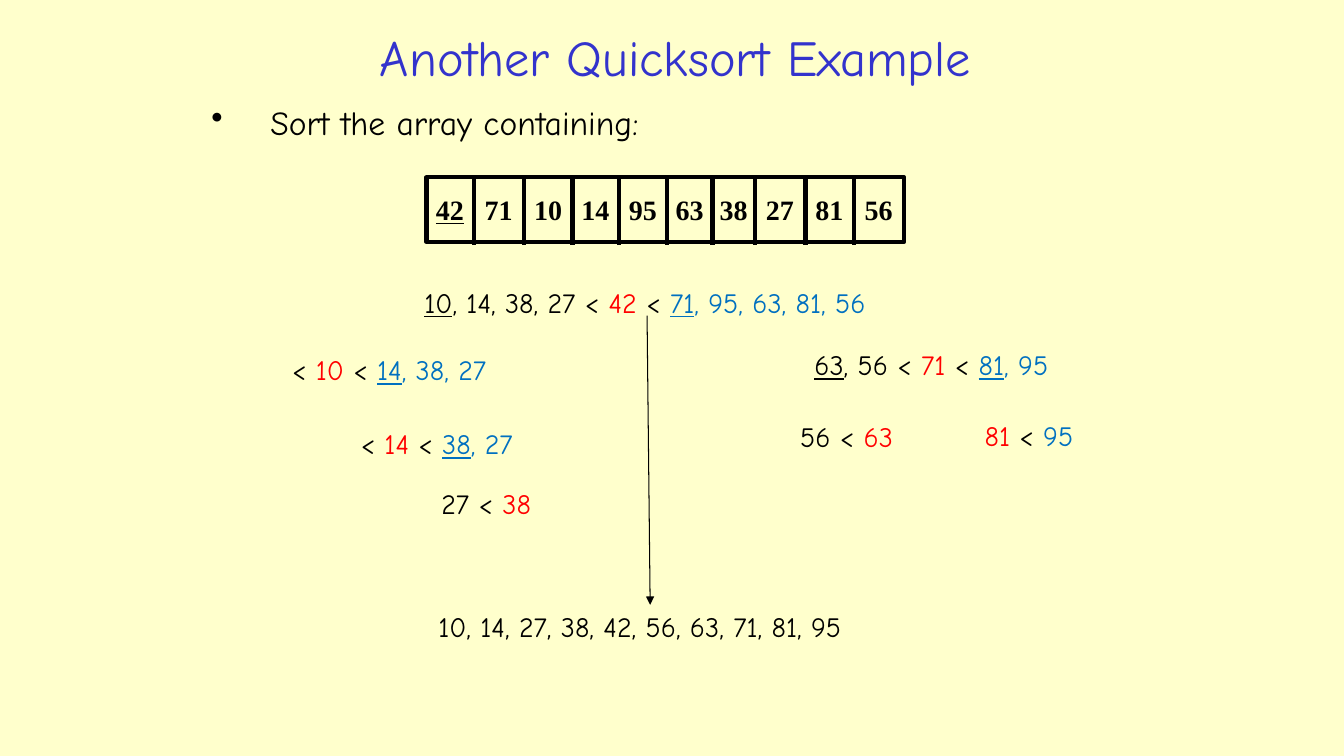
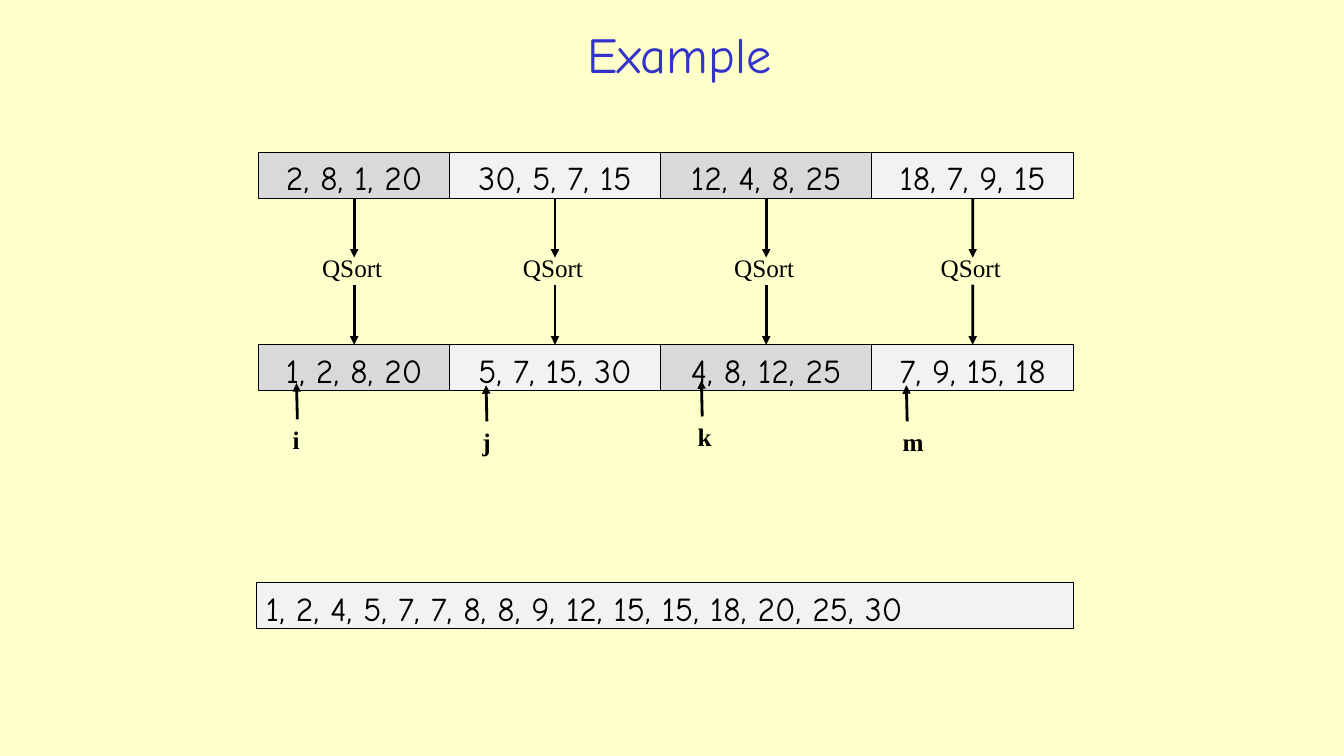
from dataclasses import dataclass
from itertools import cycle, pairwise

from lxml.etree import SubElement
from pptx import Presentation
from pptx.dml.color import RGBColor
from pptx.enum.shapes import MSO_CONNECTOR, MSO_SHAPE
from pptx.enum.text import MSO_ANCHOR, MSO_AUTO_SIZE, PP_ALIGN
from pptx.oxml.ns import qn
from pptx.util import Pt


@dataclass(frozen=True)
class Theme:
    paper: str = "FFFFCC"
    ink: str = "000000"
    heading: str = "3333CC"
    pivot: str = "FF0000"
    larger: str = "0070C0"
    dark_block: str = "D9D9D9"
    light_block: str = "F2F2F2"
    hand: str = "Comic Neue"
    serif: str = "Times New Roman"
    title_size: int = 36
    body_size: int = 24
    step_size: int = 20
    label_size: int = 18
    thin: float = 0.75
    medium: float = 2
    thick: float = 3


THEME = Theme()
SPAN_STYLES = {
    "plain": {},
    "first": {"underline": True},
    "pivot": {"color": THEME.pivot},
    "larger": {"color": THEME.larger},
    "larger first": {"color": THEME.larger, "underline": True},
}
BODY = {"size": THEME.body_size}
STEP = {"size": THEME.step_size}
NUMBER = {"size": THEME.step_size, "name": THEME.serif, "bold": True}
LABEL = {"size": THEME.label_size, "name": THEME.serif}
POINTER = LABEL | {"bold": True}


def set_all(target, formats):
    for name, value in formats.items():
        setattr(target, name, value)


class Painter:
    def __init__(self, deck, theme):
        self.deck = deck
        self.theme = theme
        self.page = None
        set_all(deck, {"slide_width": Pt(960), "slide_height": Pt(540)})
        fill = deck.slide_master.background.fill
        fill.solid()
        fill.fore_color.rgb = RGBColor.from_string(theme.paper)

    def add_page(self, title, left, top):
        self.page = self.deck.slides.add_slide(self.deck.slide_layouts[5])
        box = self.page.shapes.title
        set_all(box, {"left": Pt(left), "top": Pt(top), "width": Pt(687), "height": Pt(54.7)})
        set_all(box.text_frame, {
            "vertical_anchor": MSO_ANCHOR.MIDDLE,
            "auto_size": MSO_AUTO_SIZE.NONE,
            "word_wrap": True,
        })
        look = {"size": self.theme.title_size, "color": self.theme.heading}
        self.fill_text(box, [(title, "plain")], look, PP_ALIGN.CENTER)

    def fill_text(self, box, spans, look, align=PP_ALIGN.LEFT):
        para = box.text_frame.paragraphs[0]
        para.alignment = align
        for text, style in spans:
            span = para.add_run()
            span.text = text
            formats = {"name": self.theme.hand, "color": self.theme.ink} | look | SPAN_STYLES[style]
            span.font.color.rgb = RGBColor.from_string(formats.pop("color"))
            set_all(span.font, formats | {"size": Pt(formats["size"])})

    def add_text(self, left, top, width, height, spans, look):
        box = self.page.shapes.add_textbox(Pt(left), Pt(top), Pt(width), Pt(height))
        set_all(box.text_frame, {"word_wrap": False, "auto_size": MSO_AUTO_SIZE.SHAPE_TO_FIT_TEXT})
        self.fill_text(box, spans, look)

    def add_bullet(self, left, top, width, height, text):
        box = self.page.shapes.add_textbox(Pt(left), Pt(top), Pt(width), Pt(height))
        box.text_frame.word_wrap = True
        properties = box.text_frame.paragraphs[0]._p.get_or_add_pPr()
        properties.set("marL", str(Pt(42)))
        properties.set("indent", str(Pt(-42)))
        SubElement(properties, qn("a:buChar")).set("char", "•")
        self.fill_text(box, [(text, "plain")], BODY)

    def add_box(self, left, top, width, height, weight, color=None):
        box = self.page.shapes.add_shape(
            MSO_SHAPE.RECTANGLE, Pt(left), Pt(top), Pt(width), Pt(height))
        box.shadow.inherit = False
        if color:
            box.fill.solid()
            box.fill.fore_color.rgb = RGBColor.from_string(color)
        else:
            box.fill.background()
        box.line.width = Pt(weight)
        box.line.color.rgb = RGBColor.from_string(self.theme.ink)
        return box

    def add_block(self, left, top, width, text, color, align=PP_ALIGN.CENTER):
        box = self.add_box(left, top, width, 33.1, self.theme.thin, color)
        box.text_frame.vertical_anchor = MSO_ANCHOR.TOP
        self.fill_text(box, [(text, "plain")], BODY, align)
        return box

    def add_line(self, start, end, weight, arrow=False):
        line = self.page.shapes.add_connector(
            MSO_CONNECTOR.STRAIGHT, *(Pt(value) for value in (*start, *end)))
        line.line.width = Pt(weight)
        line.line.color.rgb = RGBColor.from_string(self.theme.ink)
        properties = line._element.spPr
        if arrow:
            SubElement(properties.find(qn("a:ln")), qn("a:tailEnd")).set("type", "triangle")
        SubElement(properties, qn("a:effectLst"))
        return line


def build_quicksort(painter):
    painter.add_page("Another Quicksort Example", 139, 13)
    painter.add_bullet(144, 69.1, 352.8, 31.7, "Sort the array containing:")

    edges = [304.6, 338.4, 374.4, 409, 442.1, 476.6, 509, 539.3, 575.3, 609.8, 645.8]
    numbers = ["42", "71", "10", "14", "95", "63", "38", "27", "81", "56"]
    painter.add_box(edges[0], 126.7, edges[-1] - edges[0], 46.1, THEME.thick)
    for edge in edges[1:-1]:
        painter.add_line((edge, 127.4), (edge, 175), THEME.thick)
    for number, (left, right) in zip(numbers, pairwise(edges)):
        style = "first" if number == numbers[0] else "plain"
        painter.add_text((left + right - 34.6) / 2, 133.9, 34.6, 31.7, [(number, style)], NUMBER)

    steps = [
        (296, 200.2, 370, [("10", "first"), (", 14, 38, 27 < ", "plain"), ("42", "pivot"),
                           (" < ", "plain"), ("71", "larger first"),
                           (", 95, 63, 81, 56", "larger")]),
        (201.6, 248.4, 170, [("< ", "plain"), ("10 ", "pivot"), ("< ", "plain"),
                             ("14", "larger first"), (", 38, 27", "larger")]),
        (574.6, 244.8, 194.4, [("63", "first"), (", 56 < ", "plain"), ("71", "pivot"),
                               (" < ", "plain"), ("81", "larger first"), (", 95", "larger")]),
        (250.6, 301, 130.3, [("< ", "plain"), ("14 ", "pivot"), ("< ", "plain"),
                             ("38", "larger first"), (", 27", "larger")]),
        (564.5, 296, 83.5, [("56 < ", "plain"), ("63", "pivot")]),
        (696.2, 295.2, 80.6, [("81 ", "pivot"), ("< ", "plain"), ("95", "larger")]),
        (308.2, 344.2, 83.5, [("27 < ", "plain"), ("38", "pivot")]),
        (306, 432, 359.3, [("10, 14, 27, 38, 42, 56, 63, 71, 81, 95", "plain")]),
    ]
    for left, top, width, spans in steps:
        painter.add_text(left, top, width, 31.7, spans, STEP)
    painter.add_line((462.2, 225.4), (464.4, 432), THEME.thin, arrow=True)


def build_merge(painter):
    painter.add_page("Example", 141.8, 10.8)
    edges = [185, 321, 471.8, 622.8, 766.8]
    parts = [
        ("2, 8, 1, 20", "1, 2, 8, 20"),
        ("30, 5, 7, 15", "5, 7, 15, 30"),
        ("12, 4, 8, 25", "4, 8, 12, 25"),
        ("18, 7, 9, 15", "7, 9, 15, 18"),
    ]
    colors = cycle([THEME.dark_block, THEME.light_block])
    for (left, right), (unsorted_part, sorted_part), color in zip(pairwise(edges), parts, colors):
        center = (left + right) / 2
        source = painter.add_block(left, 108.7, right - left, unsorted_part, color)
        target = painter.add_block(left, 246.2, right - left, sorted_part, color)
        arrow = painter.add_line((center, 141.8), (center, 184), THEME.medium, arrow=True)
        arrow.begin_connect(source, 2)
        painter.add_text(center - 30, 176.4, 58, 28.8, [("QSort", "plain")], LABEL)
        arrow = painter.add_line((center, 203.4), (center, 246.2), THEME.medium, arrow=True)
        arrow.end_connect(target, 0)

    pointers = [
        ("i", 212.4, 299.5, 19.4),
        ("j", 347.8, 301, 20.9),
        ("k", 501.6, 297.5, 24.5),
        ("m", 648, 301, 29.5),
    ]
    for name, left, top, width in pointers:
        painter.add_line((left, top), (left - 0.6, top - 25.8), THEME.medium, arrow=True)
        painter.add_text(left - 10.4, top, width, 28.8, [(name, "plain")], POINTER)

    painter.add_block(182.9, 416.2, 583.9, "1, 2, 4, 5, 7, 7, 8, 8, 9, 12, 15, 15, 18, 20, 25, 30",
                      THEME.light_block, PP_ALIGN.LEFT)


def main():
    deck = Presentation()
    painter = Painter(deck, THEME)
    build_quicksort(painter)
    build_merge(painter)
    deck.save("out.pptx")


if __name__ == "__main__":
    main()
